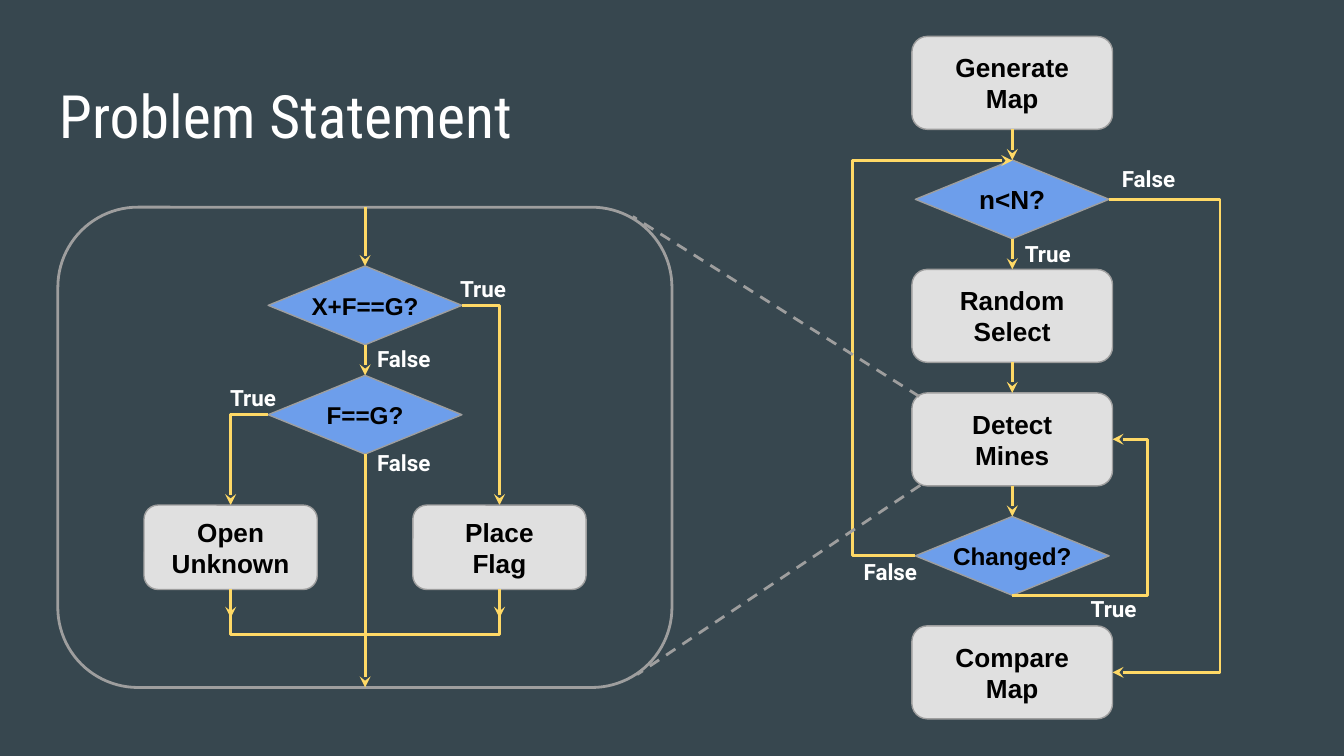
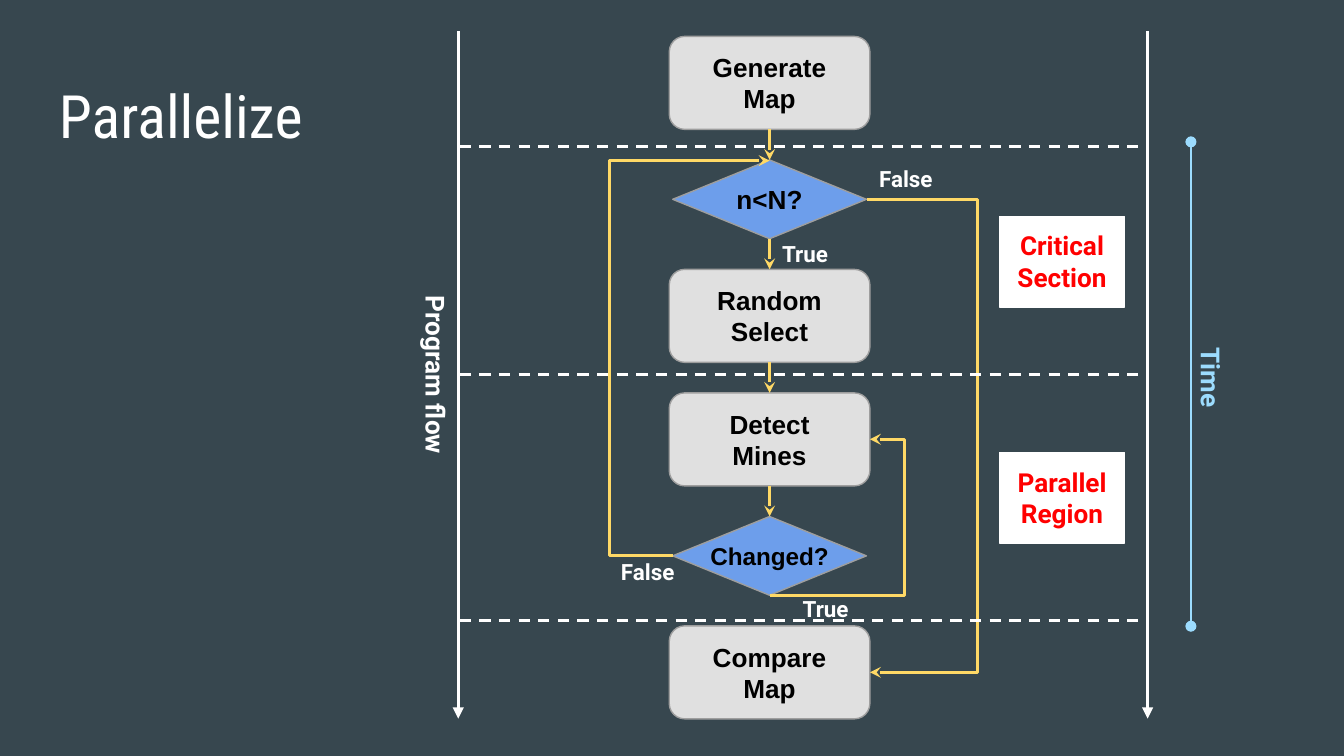
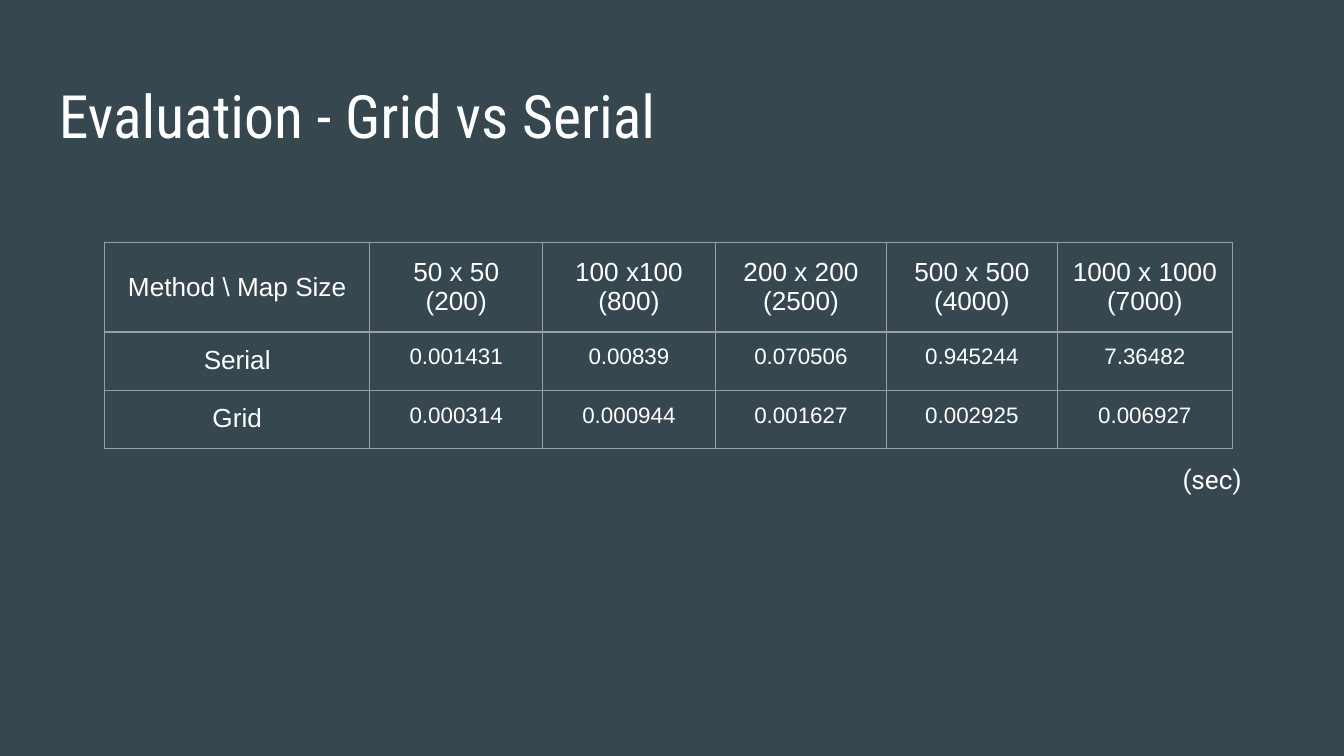
from lxml import etree
from pptx import Presentation
from pptx import util as u
from pptx.dml.color import RGBColor
from pptx.enum import dml, shapes, text
from pptx.oxml.ns import qn

Pt = u.Pt
SLATE, WHITE, BLACK, GRAY = "37474F", "FFFFFF", "000000", "9E9E9E"
LIGHT, BLUE, YELLOW, SKY, RED = "E0E0E0", "6D9EEB", "FFD966", "9CDCFE", "FF0000"
STEP_WIDTH, STEP_HEIGHT = 107.5, 49.8
DECISION_WIDTH, DECISION_HEIGHT = 103.8, 42.2
GAP = 16.4
PAD = 7.2


def color(value):
    return RGBColor.from_string(value)


def write(frame, content, size=14, font="Arial", ink=WHITE, bold=False,
          align=text.PP_ALIGN.CENTER, spacing=None):
    for index, row in enumerate(content.split("\n")):
        para = frame.add_paragraph() if index else frame.paragraphs[0]
        para.alignment = align
        if spacing:
            para.line_spacing = spacing
        span = para.add_run()
        span.text = row
        span.font.name = font
        span.font.size = Pt(size)
        span.font.bold = bold
        span.font.color.rgb = color(ink)


def set_frame(frame, anchor, wrap=True):
    frame.margin_left = frame.margin_right = Pt(PAD)
    frame.margin_top = frame.margin_bottom = Pt(PAD)
    frame.vertical_anchor = anchor
    frame.word_wrap = wrap


def add_text(page, content, left, top, width, height, rotation=0, **style):
    box = page.shapes.add_textbox(Pt(left), Pt(top), Pt(width), Pt(height))
    box.rotation = rotation
    set_frame(box.text_frame, text.MSO_ANCHOR.TOP)
    write(box.text_frame, content, **{"font": "Roboto", **style})


def add_label(page, content, center, top):
    add_text(page, content, center - 27, top, 54, 28.8, size=12, bold=True)


def add_box(page, kind, left, top, width, height, fill=None, edge=GRAY, weight=0.75):
    box = page.shapes.add_shape(kind, Pt(left), Pt(top), Pt(width), Pt(height))
    box.shadow.inherit = False
    if fill:
        box.fill.solid()
        box.fill.fore_color.rgb = color(fill)
    else:
        box.fill.background()
    box.line.color.rgb = color(edge)
    box.line.width = Pt(weight)
    return box


def add_step(page, content, center, top, width=STEP_WIDTH, height=STEP_HEIGHT):
    box = add_box(page, shapes.MSO_SHAPE.ROUNDED_RECTANGLE, center - width / 2, top,
                  width, height, LIGHT)
    set_frame(box.text_frame, text.MSO_ANCHOR.MIDDLE)
    write(box.text_frame, content, ink=BLACK, bold=True)


def add_decision(page, content, center, top, size=13):
    box = add_box(page, shapes.MSO_SHAPE.DIAMOND, center - DECISION_WIDTH / 2, top,
                  DECISION_WIDTH, DECISION_HEIGHT, BLUE)
    set_frame(box.text_frame, text.MSO_ANCHOR.MIDDLE, wrap=False)
    write(box.text_frame, content, size=size, ink=BLACK, bold=True)


def add_line(page, start, end, ink=YELLOW, head=None, tail=None, dashed=False,
             kind=shapes.MSO_CONNECTOR.STRAIGHT):
    line = page.shapes.add_connector(kind, *map(Pt, start + end))
    line.line.color.rgb = color(ink)
    line.line.width = Pt(1.5)
    if dashed:
        line.line.dash_style = dml.MSO_LINE.DASH
    properties = line._element.spPr
    outline = properties.find(qn("a:ln"))
    for tag, ending in (("a:headEnd", head), ("a:tailEnd", tail)):
        if ending:
            etree.SubElement(outline, qn(tag), type=ending)
    etree.SubElement(properties, qn("a:effectLst"))
    return line


def add_arrow(page, start, end):
    add_line(page, start, end, tail="stealth")


def add_elbow(page, start, end, bend=None, tail="stealth"):
    line = add_line(page, start, end, tail=tail, kind=shapes.MSO_CONNECTOR.ELBOW)
    geometry = line._element.spPr.find(qn("a:prstGeom"))
    if bend is None:
        geometry.set("prst", "bentConnector2")
        return
    ratio = (bend - start[0]) / (end[0] - start[0])
    guides = geometry.find(qn("a:avLst"))
    etree.SubElement(guides, qn("a:gd"), name="adj1", fmla=f"val {round(ratio * 100000)}")


def add_page(deck, title):
    page = deck.slides.add_slide(deck.slide_layouts[6])
    add_text(page, title, 24.5, 35.3, 671, 45, size=32, font="Roboto Condensed",
             align=text.PP_ALIGN.LEFT)
    return page


def add_main_flow(page, center, loop_label):
    steps = ["Generate Map", "n<N?", "Random Select", "Detect\nMines", "Changed?",
             "Compare\nMap"]
    tops = []
    top = 19.5
    for content in steps:
        tops.append(top)
        if content.endswith("?"):
            add_decision(page, content, center, top, 14 if content == "n<N?" else 13)
            top += DECISION_HEIGHT + GAP
        else:
            add_step(page, content, center, top)
            top += STEP_HEIGHT + GAP
    for below in tops[1:-1]:
        add_arrow(page, (center, below - GAP), (center, below))

    _, count, _, detect, changed, compare = tops
    half_step, half_decision = STEP_WIDTH / 2, DECISION_WIDTH / 2
    mid_step, mid_decision = STEP_HEIGHT / 2, DECISION_HEIGHT / 2
    add_elbow(page, (center + half_decision, count + mid_decision),
              (center + half_step, compare + mid_step), center + 111.5)
    add_elbow(page, (center, changed + DECISION_HEIGHT),
              (center + half_step, detect + mid_step), center + 72.5)
    add_elbow(page, (center - half_decision, changed + mid_decision),
              (center, count + 0.4), center - 85.7)
    for content, offset, label_top in (("True", 19, 121.7), ("False", 73, 81.4),
                                       ("False", -65.3, 291.6), ("True", loop_label, 311.8)):
        add_label(page, content, center + offset, label_top)


def add_detect_detail(page):
    center, branch = 195.6, 72
    frame_top, frame_bottom = 111, 368.3
    first, join = 142.5, 339.9
    second = first + DECISION_HEIGHT + GAP
    box_top, box_height = 270.6, 45.2
    half, middle = DECISION_WIDTH / 2, DECISION_HEIGHT / 2
    left, right = center - branch, center + branch

    add_line(page, (492.5, 212.4), (339, 116), GRAY, dashed=True)
    add_line(page, (493, 260), (341.3, 361.4), GRAY, dashed=True)
    add_box(page, shapes.MSO_SHAPE.ROUNDED_RECTANGLE, 31, frame_top, 329,
            frame_bottom - frame_top, weight=1.5)
    add_decision(page, "X+F==G?", center, first)
    add_decision(page, "F==G?", center, second)
    for start, end in ((frame_top, first), (first + DECISION_HEIGHT, second),
                       (second + DECISION_HEIGHT, frame_bottom)):
        add_arrow(page, (center, start), (center, end))
    add_elbow(page, (center + half, first + middle), (right, box_top))
    add_elbow(page, (center - half, second + middle), (left, box_top))
    for content, side in (("Open Unknown", left), ("Place\nFlag", right)):
        add_step(page, content, side, box_top, 92.8, box_height)
        add_elbow(page, (center, join), (side, box_top + box_height), tail=None)
        add_arrow(page, (side, 322), (side, 331))
    for content, offset, top in (("True", 63.2, 140.4), ("False", 20.7, 177.8),
                                 ("True", -60, 198.7), ("False", 20.7, 233.3)):
        add_label(page, content, center + offset, top)


def add_regions(page):
    for x in (245.5, 614.8):
        add_line(page, (x, 16.5), (x, 385), WHITE, tail="triangle")
    for y in (78.4, 200.6, 332.4):
        add_line(page, (246.3, y), (613.5, y), WHITE, dashed=True)
    for content, top in (("Critical Section", 115.9), ("Parallel\nRegion", 242.4)):
        box = add_box(page, shapes.MSO_SHAPE.RECTANGLE, 535.5, top, 67, 48.5, WHITE, WHITE)
        set_frame(box.text_frame, text.MSO_ANCHOR.TOP)
        write(box.text_frame, content, font="Roboto", ink=RED, bold=True)
    add_line(page, (638, 76), (638, 335.5), SKY, head="oval", tail="oval")
    for content, left, top, ink in (("Program flow", 178.6, 185, WHITE),
                                    ("Time", 594, 186.5, SKY)):
        add_text(page, content, left, top, 109.4, 31.7, rotation=90, ink=ink, bold=True)


def add_borders(cell):
    properties = cell._tc.get_or_add_tcPr()
    for side in "LRTB":
        border = etree.SubElement(properties, qn(f"a:ln{side}"), w=str(Pt(0.75)))
        fill = etree.SubElement(border, qn("a:solidFill"))
        etree.SubElement(fill, qn("a:srgbClr"), val=GRAY)


def add_results(page, rows):
    widths, heights = [142, 92.7, 92.4, 91.9, 91.3, 94], [48, 31.2, 30.2]
    table = page.shapes.add_table(len(rows), len(widths), Pt(56.1), Pt(129.8),
                                  Pt(sum(widths)), Pt(sum(heights))).table
    table.first_row = table.horz_banding = False
    for column, width in zip(table.columns, widths):
        column.width = Pt(width)
    for row, height in zip(table.rows, heights):
        row.height = Pt(height)
    for i, row in enumerate(rows):
        for j, content in enumerate(row):
            cell = table.cell(i, j)
            add_borders(cell)
            cell.fill.background()
            is_value = i > 0 and j > 0
            inset = 0.72 if is_value else PAD
            cell.margin_left = cell.margin_right = cell.margin_top = Pt(inset)
            cell.margin_bottom = Pt(PAD)
            if i == 0 or is_value:
                cell.vertical_anchor = text.MSO_ANCHOR.MIDDLE
            write(cell.text_frame, content, size=12 if is_value else 14,
                  spacing=1.15 if is_value else None)


def main():
    deck = Presentation()
    deck.slide_width, deck.slide_height = Pt(720), Pt(405)
    background = deck.slide_master.background.fill
    background.solid()
    background.fore_color.rgb = color(SLATE)

    page = add_page(deck, "Problem Statement")
    add_main_flow(page, 542.3, 54.3)
    add_detect_detail(page)

    page = add_page(deck, "Parallelize")
    add_main_flow(page, 412.3, 30)
    add_regions(page)

    page = add_page(deck, "Evaluation - Grid vs Serial")
    add_results(page, [
        ["Method \\ Map Size", "50 x 50 (200)", "100 x100 (800)", "200 x 200 (2500)",
         "500 x 500 (4000)", "1000 x 1000 (7000)"],
        ["Serial", "0.001431", "0.00839", "0.070506", "0.945244", "7.36482"],
        ["Grid", "0.000314", "0.000944", "0.001627", "0.002925", "0.006927"],
    ])
    add_text(page, "(sec)", 626.4, 241, 46.8, 31.7, align=text.PP_ALIGN.LEFT)

    deck.save("out.pptx")


if __name__ == "__main__":
    main()
